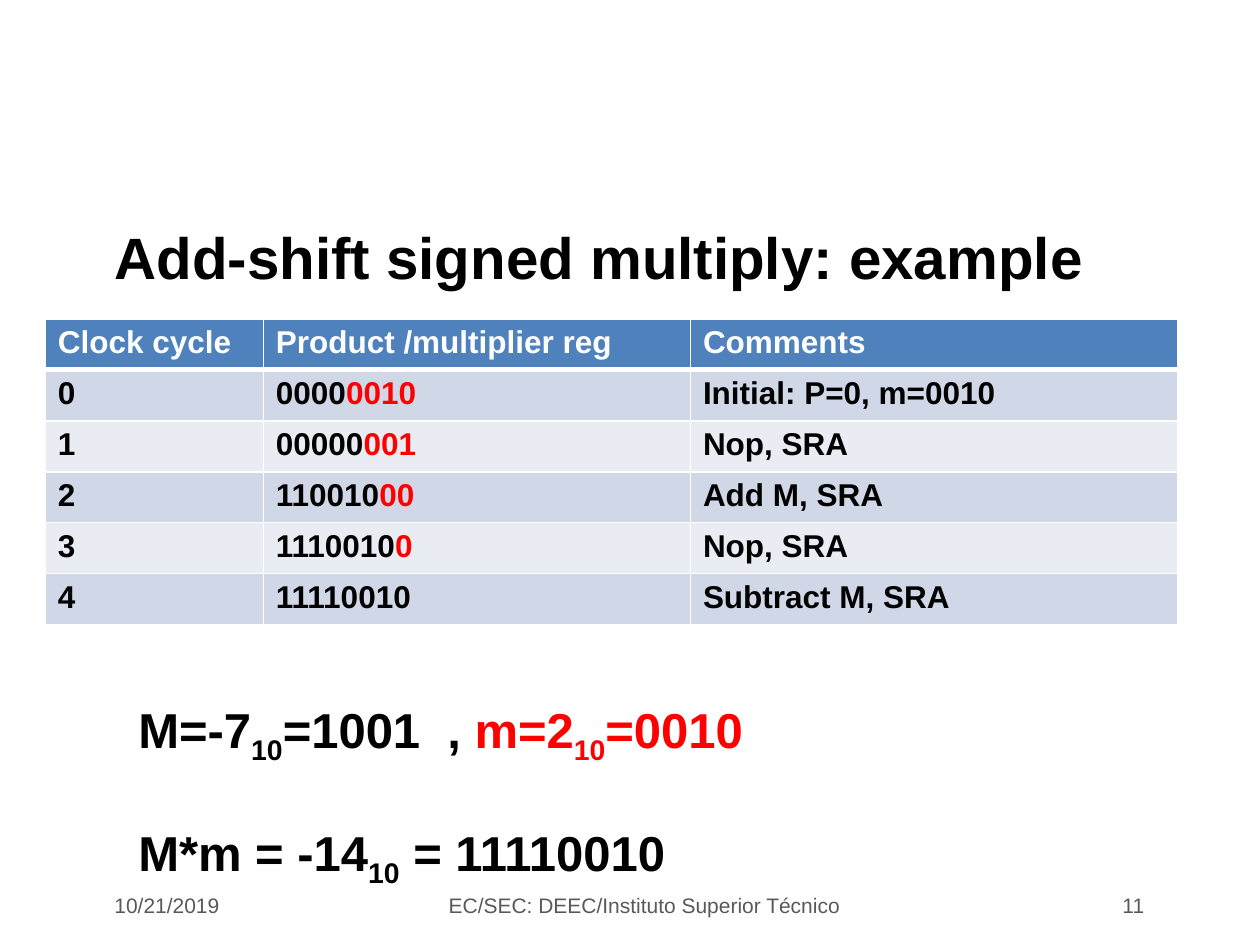
"""Build a slide on signed add-shift multiplication."""
from dataclasses import dataclass

import lxml.etree
import pptx
import pptx.dml.color
import pptx.enum.text
import pptx.oxml.ns
import pptx.util

Inches = pptx.util.Inches
Align = pptx.enum.text.PP_ALIGN
Anchor = pptx.enum.text.MSO_ANCHOR


@dataclass(frozen=True)
class Theme:
    font: str = "Arial"
    ink: str = "000000"
    red: str = "FF0000"
    gray: str = "595959"
    white: str = "FFFFFF"
    head: str = "4F81BD"
    bands: tuple = ("D0D8E7", "E9ECF3")
    title: float = 33.3
    body: float = 28
    cell: float = 18
    foot: float = 12
    thin: float = 0.96
    thick: float = 3


THEME = Theme()
ROWS = [
    ("0", "0000", "0010", "Initial: P=0, m=0010"),
    ("1", "00000", "001", "Nop, SRA"),
    ("2", "110010", "00", "Add M, SRA"),
    ("3", "1110010", "0", "Nop, SRA"),
    ("4", "11110010", "", "Subtract M, SRA"),
]


def add_run(para, text, size, color=THEME.ink, bold=True, sub=False):
    run = para.add_run()
    run.text = text
    font = run.font
    font.name, font.size, font.bold = THEME.font, pptx.util.Pt(size), bold
    font.color.rgb = pptx.dml.color.RGBColor.from_string(color)
    if sub:
        font._element.set("baseline", "-25000")


def add_box(slide, left, top, width, height, anchor=Anchor.MIDDLE):
    box = slide.shapes.add_textbox(
        Inches(left), Inches(top), Inches(width), Inches(height))
    frame = box.text_frame
    frame.word_wrap = True
    frame.vertical_anchor = anchor
    return frame


def add_title(slide, text):
    para = add_box(slide, 0.81, 1.59, 8.37, 0.95).paragraphs[0]
    para.line_spacing = 0.9
    add_run(para, text, THEME.title)


def add_foot(slide, left, width, text, align):
    para = add_box(slide, left, 7.01, width, 0.34).paragraphs[0]
    para.alignment = align
    add_run(para, text, THEME.foot, THEME.gray, bold=False)


def set_edge(cell, side, width):
    qn = pptx.oxml.ns.qn
    props = cell._tc.get_or_add_tcPr()
    line = lxml.etree.SubElement(
        props, qn("a:ln" + side), w=str(pptx.util.Pt(width)))
    fill = lxml.etree.SubElement(line, qn("a:solidFill"))
    lxml.etree.SubElement(fill, qn("a:srgbClr"), val=THEME.white)


def fill_cell(cell, parts, color, top, base):
    for side, width in zip("LRTB", (THEME.thin, THEME.thin, top, base)):
        set_edge(cell, side, width)
    cell.fill.solid()
    cell.fill.fore_color.rgb = pptx.dml.color.RGBColor.from_string(color)
    for text, ink in parts:
        if text:
            add_run(cell.text_frame.paragraphs[0], text, THEME.cell, ink)


def add_grid(slide):
    heads = ("Clock cycle", "Product /multiplier reg", "Comments")
    lines = [[[(text, THEME.white)] for text in heads]]
    for cycle, done, left, note in ROWS:
        lines.append([[(cycle, THEME.ink)],
                      [(done, THEME.ink), (left, THEME.red)],
                      [(note, THEME.ink)]])
    table = slide.shapes.add_table(
        len(lines), len(heads), Inches(0.36), Inches(2.53),
        Inches(8.99), Inches(2.43)).table
    for col, width in zip(table.columns, (1.73, 3.39, 3.87)):
        col.width = Inches(width)
    for r, line in enumerate(lines):
        color = THEME.bands[(r - 1) % 2] if r else THEME.head
        top = THEME.thick if r == 1 else THEME.thin
        base = THEME.thick if r == 0 else THEME.thin
        for c, parts in enumerate(line):
            fill_cell(table.cell(r, c), parts, color, top, base)


def add_sums(slide):
    frame = add_box(slide, 1, 5.5, 7.6, 1.63, Anchor.TOP)
    first = frame.paragraphs[0]
    last = frame.add_paragraph()
    last.space_before = pptx.util.Pt(32)
    terms = [
        (first, "M=-7", "=1001  , ", THEME.ink),
        (first, "m=2", "=0010", THEME.red),
        (last, "M*m = -14", " = 11110010", THEME.ink),
    ]
    for para, start, end, color in terms:
        add_run(para, start, THEME.body, color)
        add_run(para, "10", THEME.body, color, sub=True)
        add_run(para, end, THEME.body, color)


def main():
    deck = pptx.Presentation()
    deck.slide_width, deck.slide_height = Inches(10), Inches(7.5)
    slide = deck.slides.add_slide(deck.slide_layouts[6])
    add_title(slide, "Add-shift signed multiply: example")
    add_grid(slide)
    add_foot(slide, 0.81, 2.02, "10/21/2019", Align.LEFT)
    add_foot(slide, 3.42, 3.39,
             "EC/SEC: DEEC/Instituto Superior Técnico", Align.CENTER)
    add_foot(slide, 7.18, 2, "11", Align.RIGHT)
    add_sums(slide)
    deck.save("out.pptx")


if __name__ == "__main__":
    main()
